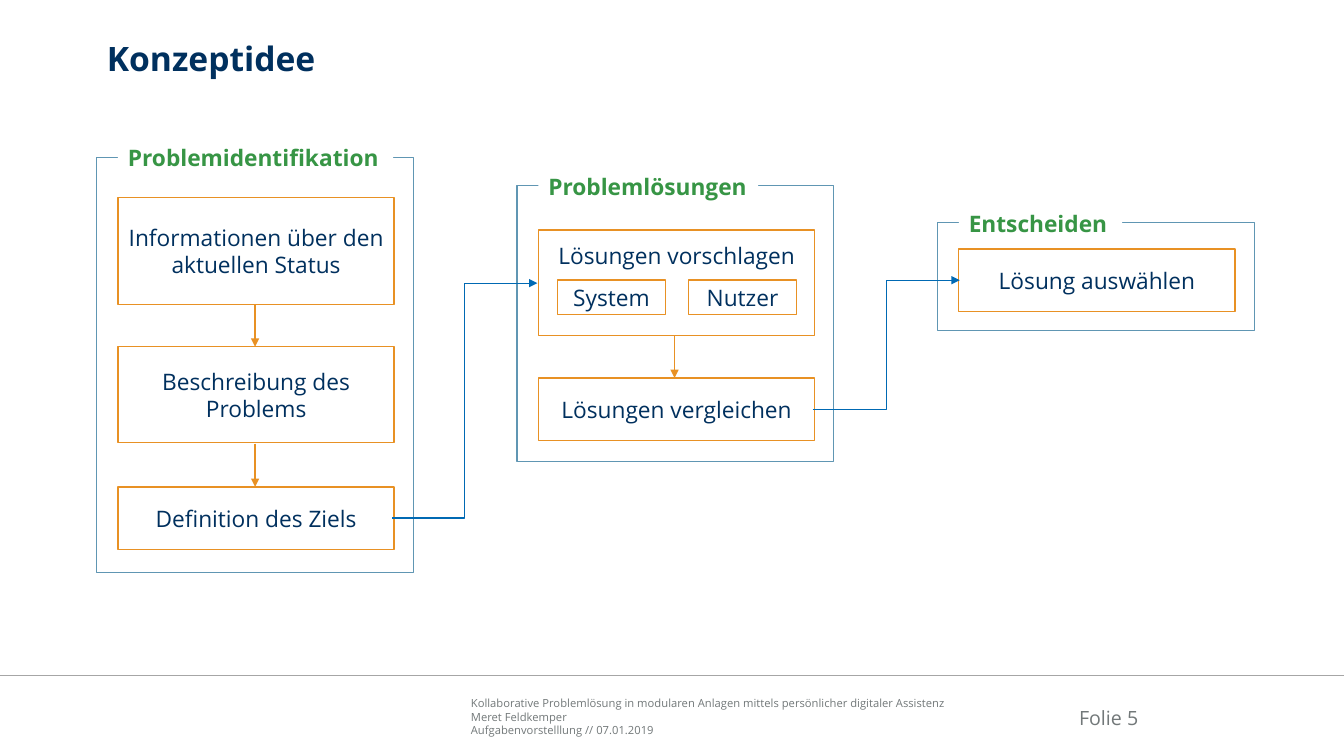
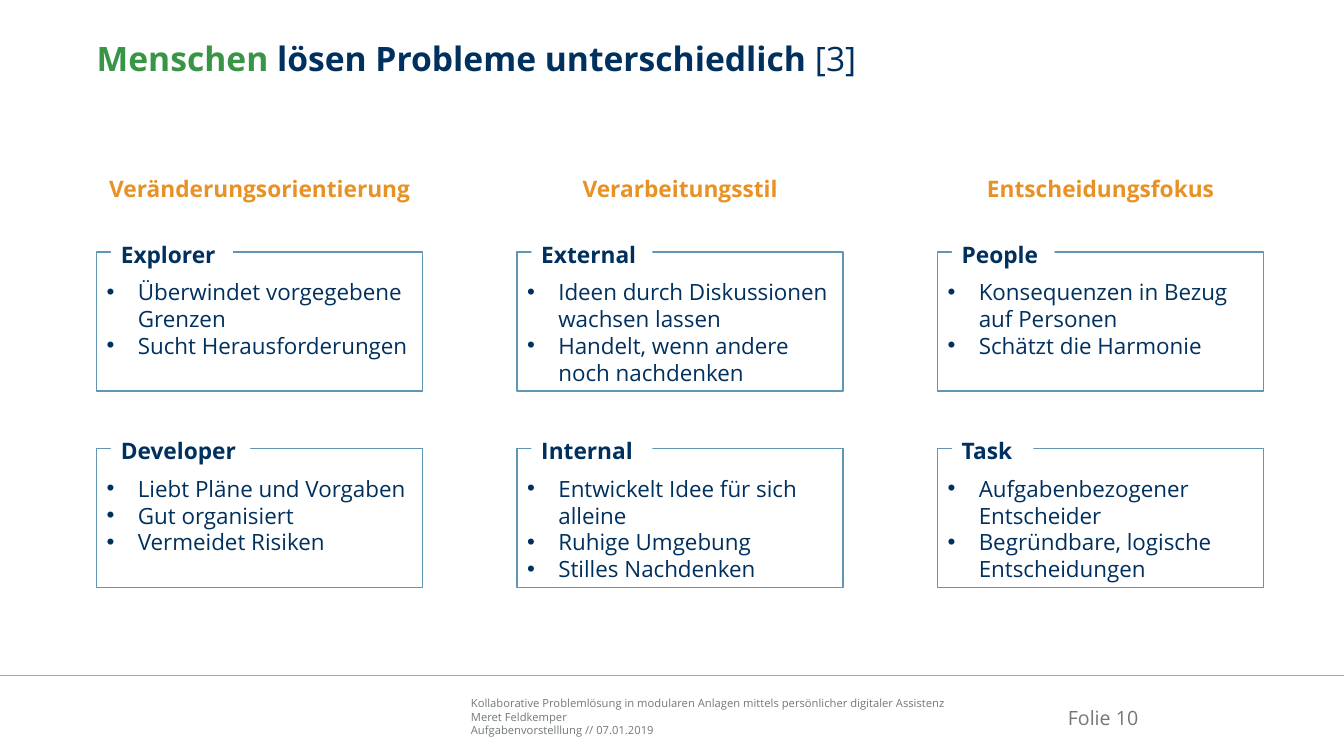
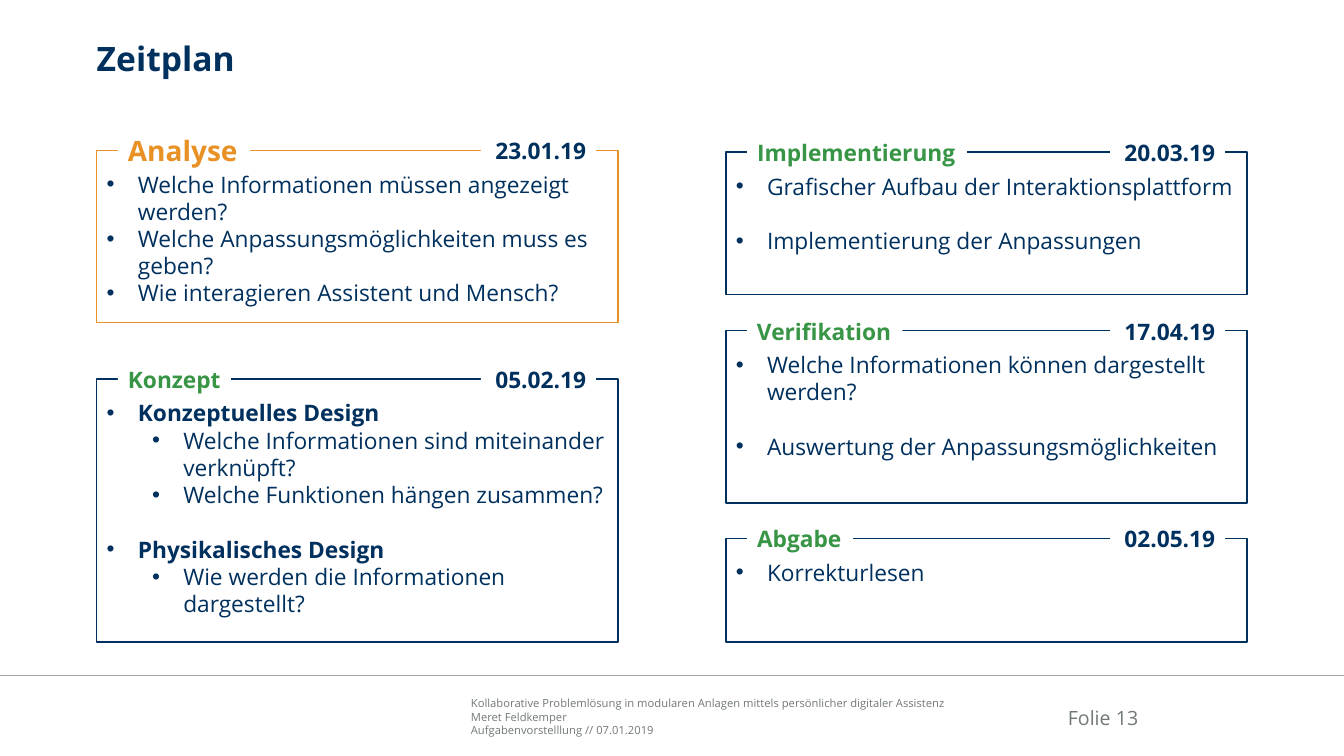
"""Build three slides on collaborative problem solving: concept, people and schedule."""
from lxml.etree import SubElement
from pptx import Presentation
from pptx.dml.color import RGBColor
from pptx.enum.shapes import MSO_CONNECTOR, MSO_SHAPE
from pptx.enum.text import MSO_ANCHOR, PP_ALIGN
from pptx.oxml.ns import qn
from pptx.util import Inches, Pt

NAVY = RGBColor(0x00, 0x30, 0x5E)
GREEN = RGBColor(0x37, 0x95, 0x45)
ORANGE = RGBColor(0xE8, 0x91, 0x24)
STEEL = RGBColor(0x60, 0x96, 0xB3)
BLUE = RGBColor(0x00, 0x69, 0xB3)
GREY = RGBColor(0x72, 0x78, 0x79)
RULE = RGBColor(0xA6, 0xA6, 0xA6)
WHITE = RGBColor(0xFF, 0xFF, 0xFF)
FONT = "Open Sans"
LEFT, MID, RIGHT = PP_ALIGN.LEFT, PP_ALIGN.CENTER, PP_ALIGN.RIGHT
TOP, BASE = MSO_ANCHOR.TOP, MSO_ANCHOR.BOTTOM
STRAIGHT, ELBOW = MSO_CONNECTOR.STRAIGHT, MSO_CONNECTOR.ELBOW
BARE = (0, 0, 0, 0)
INDENT = Inches(0.31)
COLS = [0.96 + 4.17 * i for i in range(3)]


def box(slide, at, lines=(), color=NAVY, size=16.2, bold=False, align=LEFT,
        line=None, anchor=MSO_ANCHOR.MIDDLE, inset=(0.1, 0.05, 0.1, 0.05), bullet=False):
    """Add a white box with text, outlined if a line colour is given."""
    at = [Inches(n) for n in at]
    if line:
        shape = slide.shapes.add_shape(MSO_SHAPE.RECTANGLE, *at)
        shape.shadow.inherit = False
        shape.line.color.rgb = line
        shape.line.width = Pt(1)
    else:
        shape = slide.shapes.add_textbox(*at)
    shape.fill.solid()
    shape.fill.fore_color.rgb = WHITE
    frame = shape.text_frame
    frame.word_wrap = True
    frame.vertical_anchor = anchor
    frame.margin_left, frame.margin_top, frame.margin_right, frame.margin_bottom = map(Inches, inset)
    for i, text in enumerate(lines):
        para = frame.add_paragraph() if i else frame.paragraphs[0]
        para.text = text
        para.alignment = align
        para.font.name = FONT
        para.font.size = Pt(size)
        para.font.bold = bold
        para.font.color.rgb = color
        if bullet:
            props = para._p.get_or_add_pPr()
            props.set("marL", str(INDENT))
            props.set("indent", str(-INDENT))
            SubElement(props, qn("a:buFont")).set("typeface", "Arial")
            SubElement(props, qn("a:buChar")).set("char", "•")
    return frame


def link(slide, kind, ends, color, width=1, arrow=True):
    """Add a line between two points, with an arrowhead at its end."""
    wire = slide.shapes.add_connector(kind, *[Inches(n) for n in ends])
    wire.line.color.rgb = color
    wire.line.width = Pt(width)
    if arrow:
        SubElement(wire.line._get_or_add_ln(), qn("a:tailEnd")).set("type", "triangle")
    SubElement(wire._element.spPr, qn("a:effectLst"))


deck = Presentation()
deck.slide_width, deck.slide_height = Inches(13.33), Inches(7.5)

FOOTER = [
    "Kollaborative Problemlösung in modularen Anlagen mittels persönlicher digitaler Assistenz",
    "Meret Feldkemper",
    "Aufgabenvorstelllung // 07.01.2019",
]
heads = [
    (5, 1.06, [("Konzeptidee", NAVY, True)]),
    (10, 0.96, [("Menschen", GREEN, True), (" lösen Probleme unterschiedlich ", NAVY, True),
                ("[3]", NAVY, False)]),
    (13, 0.96, [("Zeitplan", NAVY, True)]),
]
slides = []
for page, x, runs in heads:
    slide = deck.slides.add_slide(deck.slide_layouts[6])
    slides.append(slide)
    box(slide, (4.67, 6.91, 4.91, 0.4), FOOTER, GREY, 8, anchor=BASE, inset=BARE)
    link(slide, STRAIGHT, (0, 6.7, 13.33, 6.7), RULE, arrow=False)
    box(slide, (10.3, 6.87, 0.99, 0.37), [f"Folie {page}"], GREY, 14, align=RIGHT,
        anchor=BASE, inset=BARE)
    title = box(slide, (x, 0.38, 11.57, 0.75), [""], size=24, anchor=TOP, inset=BARE)
    for text, color, bold in runs:
        run = title.paragraphs[0].add_run()
        run.text = text
        run.font.color.rgb = color
        run.font.bold = bold
        run.font.size = Pt(24)
        run.font.name = FONT
concept, people, plan = slides

phases = [
    (1.56, 4.12, "Problemidentifikation", 2.73, [
        (1.96, 1.06, "Informationen über den aktuellen Status"),
        (3.44, 0.95, "Beschreibung des Problems"),
        (4.83, 0.62, "Definition des Ziels")]),
    (1.84, 2.74, "Problemlösungen", 2.18, [
        (2.28, 1.05, "Lösungen vorschlagen"),
        (3.75, 0.62, "Lösungen vergleichen")]),
    (2.21, 1.07, "Entscheiden", 1.62, [(2.47, 0.62, "Lösung auswählen")]),
]
for x, (y, high, name, wide, steps) in zip(COLS, phases):
    box(concept, (x, y, 3.14, high), line=STEEL)
    box(concept, (x + 0.21, y - 0.18, wide, 0.37), [name], GREEN, bold=True)
    for top, tall, text in steps:
        frame = box(concept, (x + 0.21, top, 2.74, tall), [text], align=MID, line=ORANGE)
        if text == "Lösungen vorschlagen":
            frame.vertical_anchor = TOP
            frame.margin_top = Inches(0.12)
for x, text in ((5.53, "System"), (6.83, "Nutzer")):
    box(concept, (x, 2.78, 1.07, 0.34), [text], align=MID, line=ORANGE)
for x, start, end, width in ((2.53, 3.02, 3.44, 1), (2.53, 4.4, 4.83, 1), (6.69, 3.33, 3.75, 0.5)):
    link(concept, STRAIGHT, (x, start, x, end), ORANGE, width)
link(concept, ELBOW, (3.89, 5.14, 5.33, 2.81), BLUE, 0.75)
link(concept, ELBOW, (8.06, 4.06, 9.52, 2.78), BLUE, 0.5)

styles = [
    ("Veränderungsorientierung", [
        ("Explorer", 1.21, ["Überwindet vorgegebene Grenzen", "Sucht Herausforderungen"]),
        ("Developer", 1.38, ["Liebt Pläne und Vorgaben", "Gut organisiert", "Vermeidet Risiken"])]),
    ("Verarbeitungsstil", [
        ("External", 1.2, ["Ideen durch Diskussionen wachsen lassen",
                           "Handelt, wenn andere noch nachdenken"]),
        ("Internal", 1.2, ["Entwickelt Idee für sich alleine", "Ruhige Umgebung",
                           "Stilles Nachdenken"])]),
    ("Entscheidungsfokus", [
        ("People", 1.02, ["Konsequenzen in Bezug auf Personen", "Schätzt die Harmonie"]),
        ("Task", 0.81, ["Aufgabenbezogener Entscheider",
                        "Begründbare, logische Entscheidungen"])]),
]
for x, (head, types) in zip(COLS, styles):
    box(people, (x, 1.62, 3.23, 0.5), [head], ORANGE, bold=True, align=MID)
    for y, (name, wide, traits) in zip((2.5, 4.45), types):
        box(people, (x, y, 3.23, 1.38), traits, size=16, line=STEEL, anchor=TOP,
            inset=(0.1, 0.26, 0.1, 0.05), bullet=True)
        box(people, (x + 0.14, y - 0.23, wide, 0.5), [name], bold=True)

stages = [
    (0.96, 1.49, 1.71, "Analyse", 1.31, "23.01.19", None, [
        "Welche Informationen müssen angezeigt werden?",
        "Welche Anpassungsmöglichkeiten muss es geben?",
        "Wie interagieren Assistent und Mensch?"]),
    (0.96, 3.76, 2.61, "Konzept", 1.12, "05.02.19", 3, [
        "Konzeptuelles Design",
        "Welche Informationen sind miteinander verknüpft?",
        "Welche Funktionen hängen zusammen?",
        "Physikalisches Design",
        "Wie werden die Informationen dargestellt?"]),
    (7.2, 1.51, 1.41, "Implementierung", 2.18, "20.03.19", 1, [
        "Grafischer Aufbau der Interaktionsplattform",
        "Implementierung der Anpassungen"]),
    (7.2, 3.28, 1.71, "Verifikation", 1.54, "17.04.19", 1, [
        "Welche Informationen können dargestellt werden?",
        "Auswertung der Anpassungsmöglichkeiten"]),
    (7.2, 5.34, 1.03, "Abgabe", 1.05, "02.05.19", None, ["Korrekturlesen"]),
]
for x, y, high, name, wide, date, gap, tasks in stages:
    now = name == "Analyse"
    frame = box(plan, (x, y, 5.17, high), tasks, line=ORANGE if now else NAVY, anchor=TOP,
                inset=(0.1, 0.2, 0.1, 0.05), bullet=True)
    if gap:
        frame.paragraphs[gap].space_before = Pt(19.5)
    if name == "Konzept":
        for para in frame.paragraphs:
            if para.text.endswith("Design"):
                para.font.bold = True
            else:
                para.level = 1
                para._p.pPr.set("marL", str(Inches(0.76)))
    box(plan, (x + 0.21, y - 0.18, wide, 0.37), [name], ORANGE if now else GREEN,
        20 if now else 16.2, bold=True)
    box(plan, (x + 3.81, y - 0.18, 1.14, 0.37), [date], bold=True, align=RIGHT)

deck.save("out.pptx")
